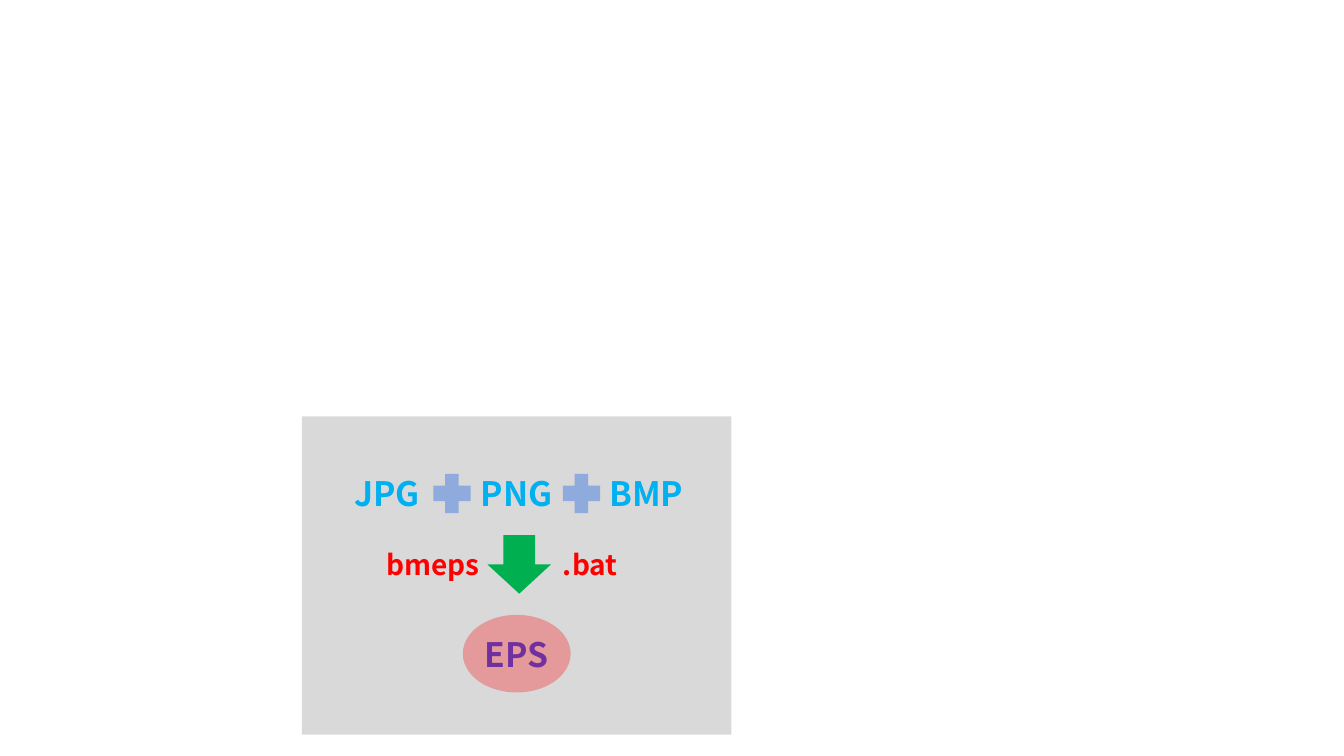
import dataclasses
import lxml.etree
import pptx
import pptx.dml.color
import pptx.enum.shapes
import pptx.enum.text
import pptx.oxml.ns
import pptx.util

SHAPE = pptx.enum.shapes.MSO_SHAPE


@dataclasses.dataclass(frozen=True)
class Theme:
    font: str = "Noto Sans CJK SC"
    format_size: int = 24
    tool_size: int = 20
    panel: str = "D9D9D9"
    source: str = "00B0F0"
    plus: str = "8FAADC"
    tool: str = "FF0000"
    arrow: str = "00B050"
    result: str = "7030A0"
    halo: str = "FF0000"


class Diagram:
    CELL = 0.5

    def __init__(self, slide, theme):
        self.theme = theme
        self.group = slide.shapes.add_group_shape()

    def box(self, centre, size):
        corner = [c - d / 2 for c, d in zip(centre, size)]
        return [pptx.util.Inches(v * self.CELL) for v in (*corner, *size)]

    def shape(self, kind, centre, size, color, alpha=None, adjust=None):
        sp = self.group.shapes.add_shape(kind, *self.box(centre, size))
        sp.shadow.inherit = False
        sp.line.fill.background()
        sp.fill.solid()
        sp.fill.fore_color.rgb = pptx.dml.color.RGBColor.from_string(color)
        if adjust is not None:
            sp.adjustments[0] = adjust
        if alpha is not None:
            qn = pptx.oxml.ns.qn
            clr = sp._element.spPr.find(qn("a:solidFill")).find(qn("a:srgbClr"))
            lxml.etree.SubElement(clr, qn("a:alpha"), val=str(alpha * 1000))

    def label(self, text, centre, size, points, color):
        sp = self.group.shapes.add_textbox(*self.box(centre, size))
        tf = sp.text_frame
        tf.word_wrap = False
        tf.auto_size = pptx.enum.text.MSO_AUTO_SIZE.SHAPE_TO_FIT_TEXT
        p = tf.paragraphs[0]
        p.alignment = pptx.enum.text.PP_ALIGN.CENTER
        r = p.add_run()
        r.text = text
        r.font.name = self.theme.font
        r.font.size = pptx.util.Pt(points)
        r.font.bold = True
        r.font.color.rgb = pptx.dml.color.RGBColor.from_string(color)


prs = pptx.Presentation()
prs.slide_width = pptx.util.Inches(13.33)
prs.slide_height = pptx.util.Inches(7.5)
theme = Theme()
d = Diagram(prs.slides.add_slide(prs.slide_layouts[6]), theme)

MIDDLE = 10.25
STEP = 2.57
SOURCE_ROW, TOOL_ROW, RESULT_ROW = 9.79, 11.2, 12.97

d.shape(SHAPE.RECTANGLE, (MIDDLE, 11.42), (8.52, 6.32), theme.panel)
d.shape(SHAPE.OVAL, (MIDDLE, RESULT_ROW), (2.14, 1.54), theme.halo, alpha=29)
d.label("EPS", (MIDDLE, RESULT_ROW), (2.08, 1), theme.format_size, theme.result)
d.shape(SHAPE.DOWN_ARROW, (10.3, TOOL_ROW), (1.26, 1.16), theme.arrow)

for text, x, width in (("bmeps", 8.59, 2.38), (".bat", 11.71, 1.78)):
    d.label(text, (x, TOOL_ROW), (width, 0.88), theme.tool_size, theme.tool)

for i, text in enumerate(("JPG", "PNG", "BMP"), start=-1):
    x = MIDDLE + i * STEP
    d.label(text, (x, SOURCE_ROW), (1.88, 1), theme.format_size, theme.source)

for side in (-0.5, 0.5):
    x = MIDDLE + side * STEP
    d.shape(SHAPE.CROSS, (x, SOURCE_ROW), (0.74, 0.78), theme.plus, adjust=0.32)

prs.save("out.pptx")
